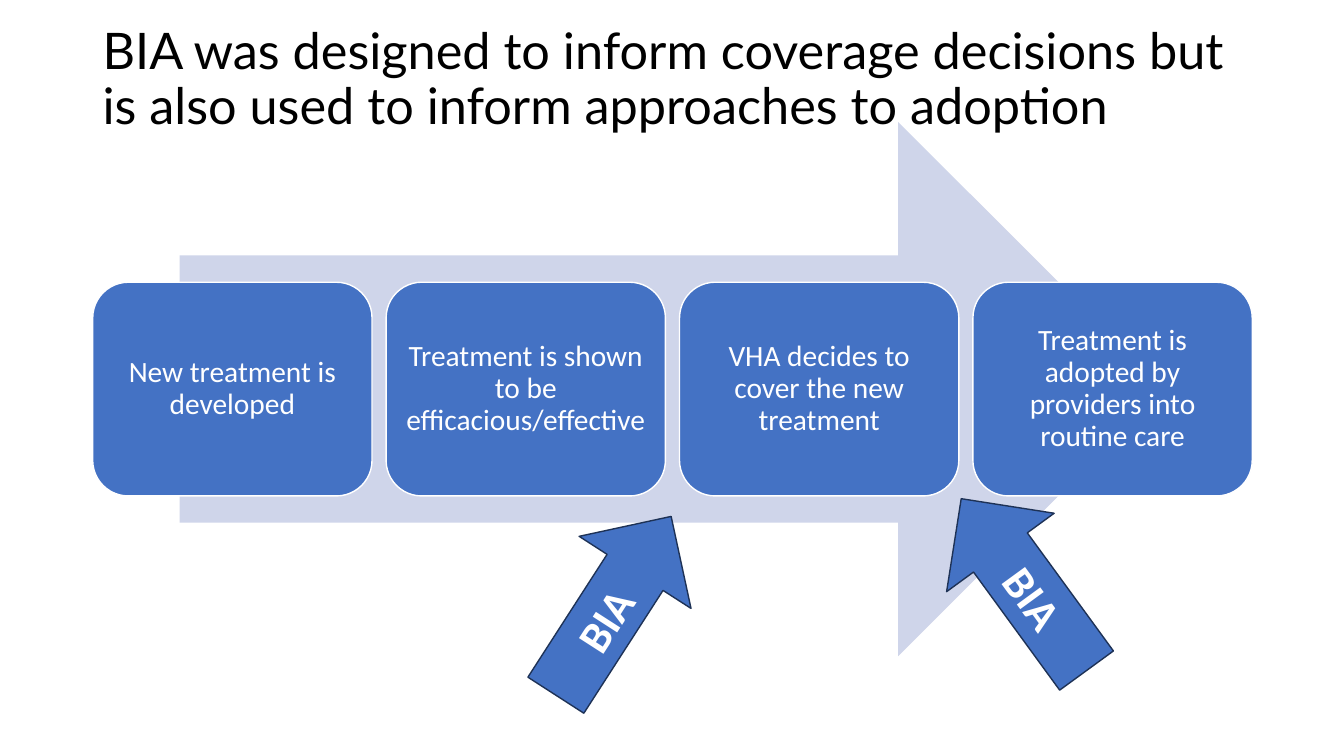
from pptx import Presentation
from pptx.dml.color import RGBColor
from pptx.enum.shapes import MSO_SHAPE
from pptx.enum.text import MSO_ANCHOR, PP_ALIGN
from pptx.util import Inches, Pt

COLORS = {"text": "000000", "white": "FFFFFF", "band": "CFD5EA",
          "blue": "4472C4", "navy": "1E3256"}

prs = Presentation()
prs.slide_width, prs.slide_height = Inches(13.33), Inches(7.5)
s = prs.slides.add_slide(prs.slide_layouts[6])


def add_text(sp, text, size, font="Calibri", color="white", bold=False,
             align=PP_ALIGN.CENTER, spacing=1.0, inset=0.1):
    tf = sp.text_frame
    tf.word_wrap = True
    tf.vertical_anchor = MSO_ANCHOR.MIDDLE
    tf.margin_left = tf.margin_right = Inches(inset)
    p = tf.paragraphs[0]
    p.alignment = align
    p.line_spacing = spacing
    r = p.add_run()
    r.text = text
    r.font.size = Pt(size)
    r.font.name = font
    r.font.bold = bold
    r.font.color.rgb = RGBColor.from_string(COLORS[color])


def add_block(kind, x, y, w, h, fill, line=None, rotation=0):
    sp = s.shapes.add_shape(kind, Inches(x), Inches(y), Inches(w), Inches(h))
    sp.shadow.inherit = False
    sp.rotation = rotation
    sp.fill.solid()
    sp.fill.fore_color.rgb = RGBColor.from_string(COLORS[fill])
    if line:
        sp.line.color.rgb = RGBColor.from_string(COLORS[line])
        sp.line.width = Pt(1)
    else:
        sp.line.fill.background()
    return sp


left, width = 0.92, 11.5

title = s.shapes.add_textbox(Inches(left), Inches(0.4), Inches(width), Inches(0.8))
add_text(title, "BIA was designed to inform coverage decisions but is also used "
         "to inform approaches to adoption", 36, font="Lato", color="text",
         align=PP_ALIGN.LEFT, spacing=0.9)

band_w = 0.85 * width
add_block(MSO_SHAPE.RIGHT_ARROW, left + (width - band_w) / 2, 1.21, band_w, 5.3, "band")

steps = ["New treatment is developed",
         "Treatment is shown to be efficacious/effective",
         "VHA decides to cover the new treatment",
         "Treatment is adopted by providers into routine care"]
step_w, gap = 2.77, 0.14
for i, step in enumerate(steps):
    sp = add_block(MSO_SHAPE.ROUNDED_RECTANGLE, left + i * (step_w + gap), 2.8,
                   step_w, 2.12, "blue", "white")
    add_text(sp, step, 21, spacing=0.9, inset=0.09)

for kind, x, y, rotation in [(MSO_SHAPE.LEFT_ARROW, 9.1, 5.14, 53.9),
                             (MSO_SHAPE.RIGHT_ARROW, 5.03, 5.35, 302.8)]:
    sp = add_block(kind, x, y, 2.11, 1.32, "blue", "navy", rotation)
    add_text(sp, "BIA", 32, bold=True)

prs.save("out.pptx")
